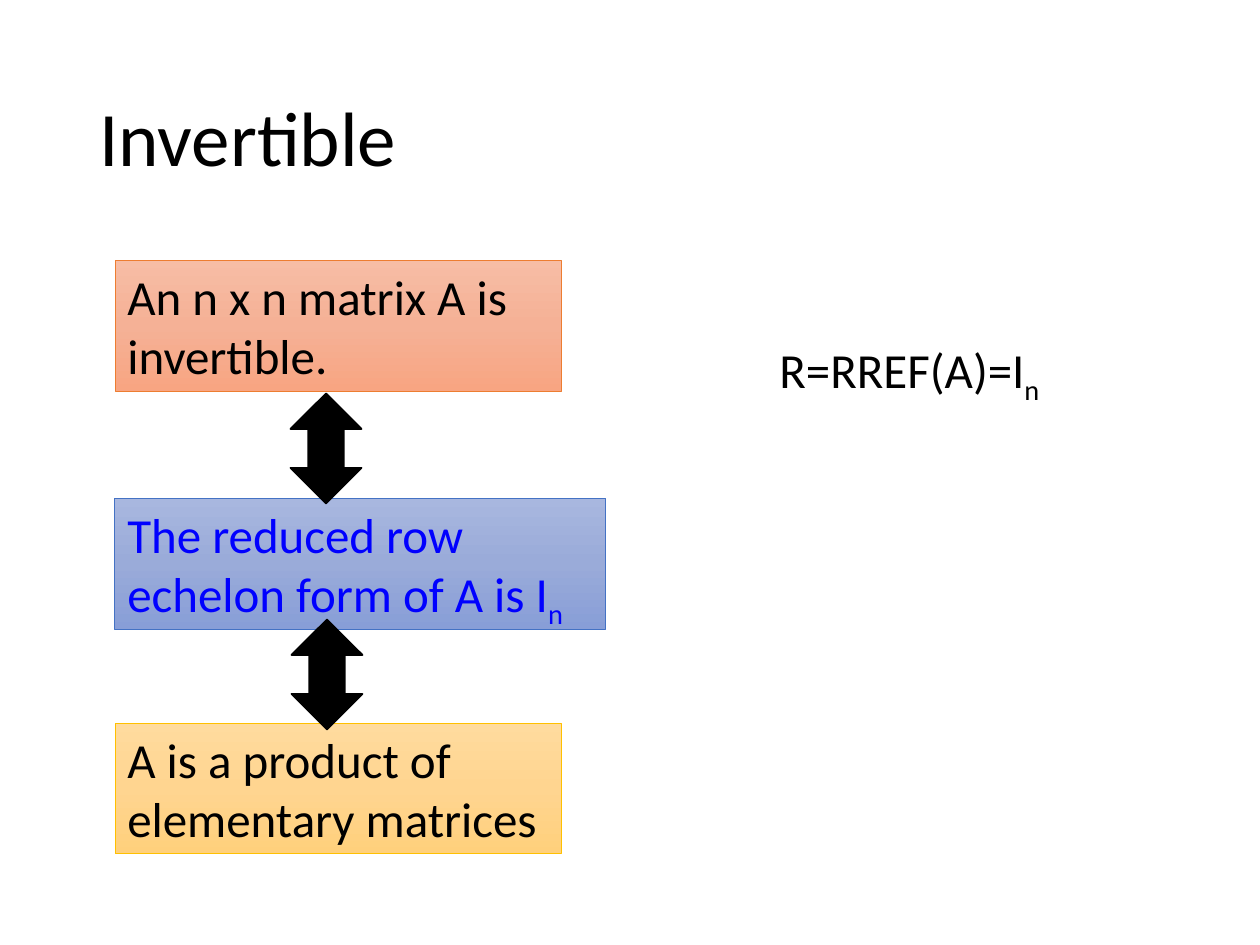
"""Build a slide linking equivalent statements about an invertible matrix."""
from copy import deepcopy

from pptx import Presentation
from pptx.dml.color import RGBColor
from pptx.enum.shapes import MSO_SHAPE
from pptx.enum.text import MSO_ANCHOR, MSO_AUTO_SIZE, PP_ALIGN
from pptx.util import Emu, Pt

RECTANGLE = MSO_SHAPE.RECTANGLE
DOUBLE_ARROW = MSO_SHAPE.LEFT_RIGHT_ARROW
TOP, MIDDLE = MSO_ANCHOR.TOP, MSO_ANCHOR.MIDDLE
GROW, FIXED = MSO_AUTO_SIZE.SHAPE_TO_FIT_TEXT, MSO_AUTO_SIZE.NONE
LEFT = PP_ALIGN.LEFT
PX = 914400 // 126
COLORS = {
    "black": "000000",
    "blue": "0000FF",
    "orange_line": "ED7D31",
    "blue_line": "4472C4",
    "gold_line": "FFC000",
}


def px(*lengths):
    return [Emu(length * PX) for length in lengths]


def write(box, text, subscript="", size=28, color="black", anchor=TOP, fit=GROW, spacing=1.0):
    frame = box.text_frame
    frame.word_wrap = True
    frame.auto_size = fit
    frame.vertical_anchor = anchor
    para = frame.paragraphs[0]
    para.alignment = LEFT
    para.line_spacing = spacing
    para.font.size = Pt(size)
    for part, baseline in ((text, 0), (subscript, -25000)):
        if part:
            span = para.add_run()
            span.text = part
            span.font.name = "Calibri"
            span.font.size = Pt(size)
            span.font.color.rgb = RGBColor.from_string(COLORS[color])
            if baseline:
                span.font._element.set("baseline", str(baseline))


deck = Presentation()
deck.slide_width, deck.slide_height = px(1260, 945)
page = deck.slides.add_slide(deck.slide_layouts[6])

title = page.shapes.add_textbox(*px(87, 50, 1086, 183))
write(title, "Invertible", size=44, anchor=MIDDLE, fit=FIXED, spacing=0.9)

statements = [
    (260, 446, "An n x n matrix A is invertible.", "", "black", "orange_line",
     ("F7BDA5", "F5B196", "F8A582")),
    (498, 491, "The reduced row echelon form of A is I", "n", "blue", "blue_line",
     ("A8B7DF", "9AABD9", "889ED7")),
    (723, 446, "A is a product of elementary matrices", "", "black", "gold_line",
     ("FFDB9E", "FFD590", "FFD07C")),
]
for top, width, text, subscript, color, border, shades in statements:
    box = page.shapes.add_shape(RECTANGLE, *px(115, top, width, 131))
    box.shadow.inherit = False
    box.line.color.rgb = RGBColor.from_string(COLORS[border])
    box.line.width = Pt(0.5)
    box.fill.gradient()
    box.fill.gradient_angle = 270
    stop_list = box.element.spPr.gradFill.gsLst
    stop_list.insert(1, deepcopy(stop_list[0]))
    for index, (stop, shade) in enumerate(zip(box.fill.gradient_stops, shades)):
        stop.position = index / 2
        stop.color.rgb = RGBColor.from_string(shade)
    write(box, text, subscript=subscript, color=color)

formula = page.shapes.add_textbox(*px(767, 333, 336, 72))
write(formula, "R=RREF(A)=I", subscript="n")

for left, top in ((271, 413), (272, 639)):
    arrow = page.shapes.add_shape(DOUBLE_ARROW, *px(left, top, 110, 71))
    arrow.rotation = 90
    arrow.shadow.inherit = False
    arrow.fill.solid()
    arrow.fill.fore_color.rgb = RGBColor.from_string(COLORS["black"])
    arrow.line.color.rgb = RGBColor.from_string(COLORS["black"])
    arrow.line.width = Pt(1)

deck.save("out.pptx")
